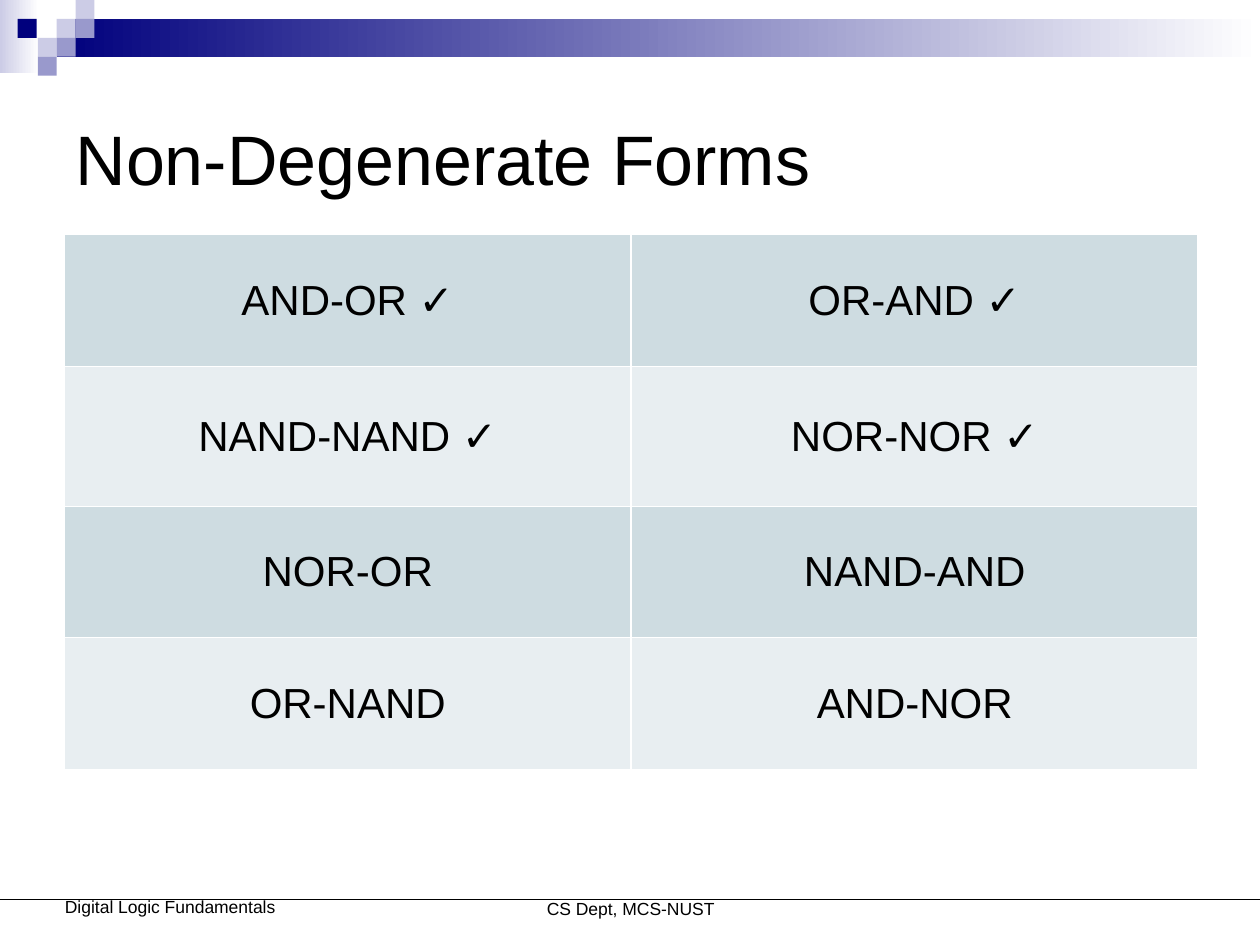
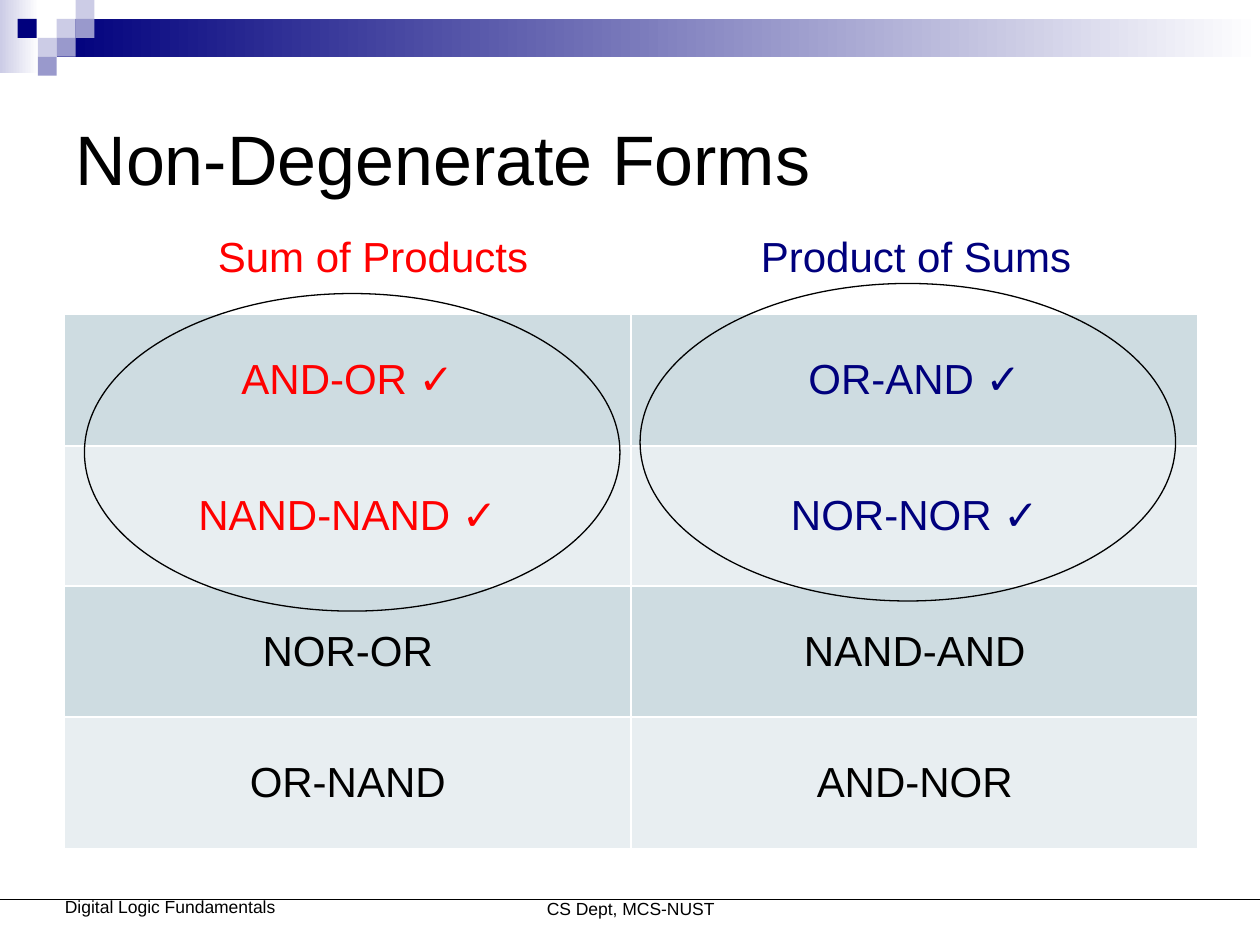
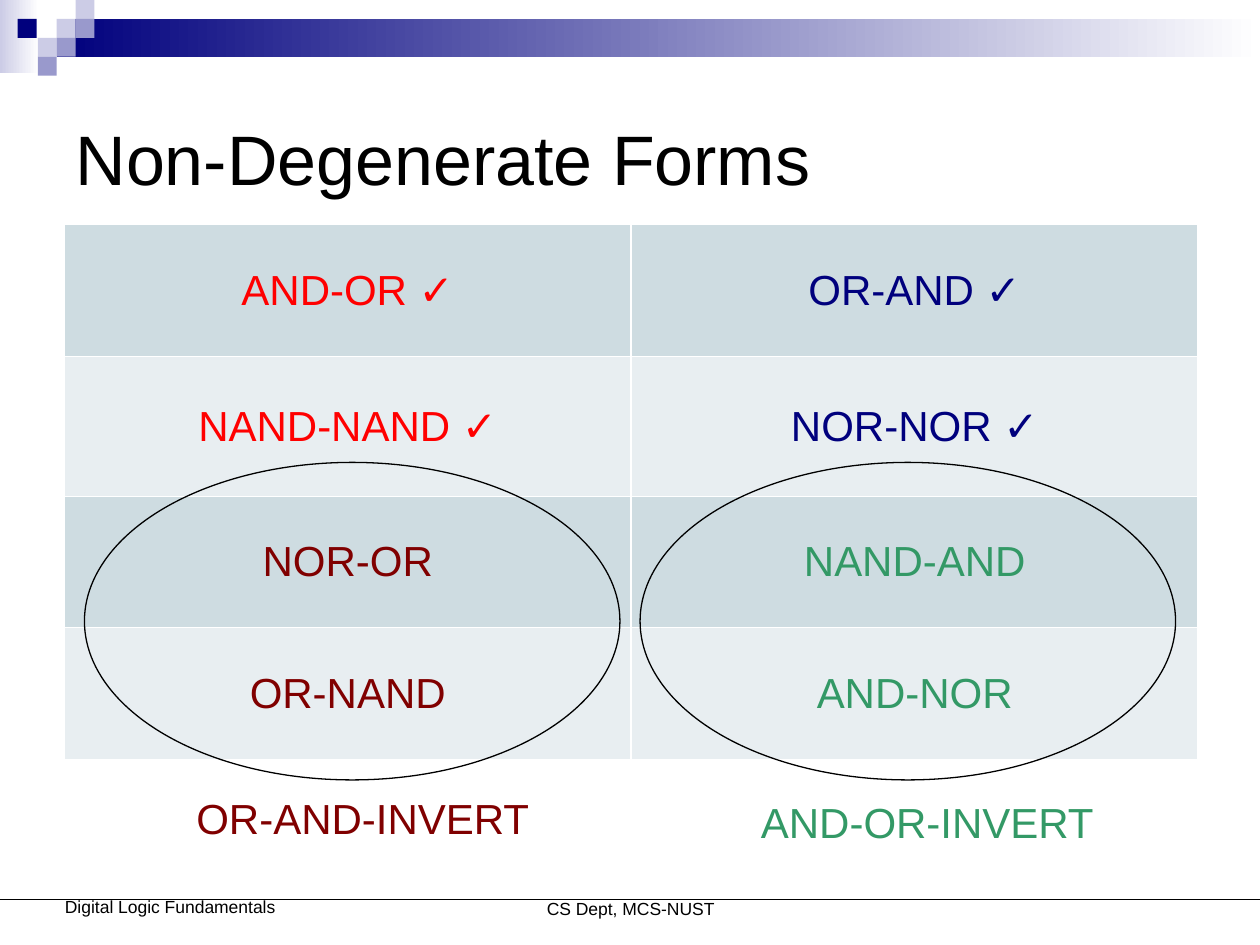
from lxml.etree import SubElement
from pptx import Presentation
from pptx.dml.color import RGBColor
from pptx.enum.shapes import MSO_CONNECTOR, MSO_SHAPE
from pptx.enum.text import MSO_ANCHOR, MSO_AUTO_SIZE, PP_ALIGN
from pptx.oxml.ns import qn
from pptx.util import Inches, Pt

# Shared look
FONT = "Arial"
BLACK, WHITE, NAVY, RED = "000000", "FFFFFF", "00007D", "FF0000"
MAROON, GREEN = "800000", "339966"
PALE, LILAC = "CCCCE6", "9999CC"
ROW_FILLS = ["CEDCE1", "E8EEF1"]

# Top band: gradient bars and small squares
BARS = [((0, 0, 0.31, 0.58), PALE), ((0.45, 0.15, 9.55, 0.3), NAVY)]
SQUARE = 0.15
SQUARES = [
    (0.45, 0.15, PALE), (0.6, 0, PALE), (0.6, 0.15, LILAC), (0.3, 0.3, PALE),
    (0.14, 0.15, NAVY), (0.45, 0.3, LILAC), (0.3, 0.45, LILAC),
]
FOOTERS = [
    ("CS Dept, MCS-NUST", (2.92, 6.85, 4.17, 0.6)),
    ("Digital Logic Fundamentals", (0.35, 6.83, 2, 0.6)),
]
FOOTER_RULE_Y = 7.14

# Content
TITLE = "Non-Degenerate Forms"
FORMS = [
    ("AND-OR ✓", "OR-AND ✓"),
    ("NAND-NAND ✓", "NOR-NOR ✓"),
    ("NOR-OR", "NAND-AND"),
    ("OR-NAND", "AND-NOR"),
]
TABLE_LEFT, COLUMN_WIDTH = 0.51, 4.5
ROW_HEIGHTS = [1.05, 1.11, 1.04, 1.05]
RING_LEFTS, RING_SIZE = (0.67, 5.08), (4.25, 2.52)

PLAIN, PRODUCTS_SUMS, INVERTS = (BLACK, BLACK), (RED, NAVY), (MAROON, GREEN)
SLIDES = [
    {"table_top": 1.86, "top_pair": PLAIN, "bottom_pair": PLAIN,
     "ring_tops": [], "labels": []},
    {"table_top": 2.49, "top_pair": PRODUCTS_SUMS, "bottom_pair": PLAIN,
     "ring_tops": [2.33, 2.25],
     "labels": [("Sum of Products", (1.63, 1.78, 2.75, 0.5), RED),
                ("Product of Sums", (5.94, 1.78, 2.75, 0.5), NAVY)]},
    {"table_top": 1.78, "top_pair": PRODUCTS_SUMS, "bottom_pair": INVERTS,
     "ring_tops": [3.67, 3.67],
     "labels": [("OR-AND-INVERT", (1.46, 6.24, 2.95, 0.5), MAROON),
                ("AND-OR-INVERT", (5.94, 6.27, 2.95, 0.5), GREEN)]},
]


def rgb(color):
    return RGBColor.from_string(color)


def inches(box):
    return [Inches(value) for value in box]


def write(frame, text, size=24, color=BLACK, align=PP_ALIGN.LEFT):
    paragraph = frame.paragraphs[0]
    paragraph.alignment = align
    run = paragraph.add_run()
    run.text = text
    run.font.name = FONT
    run.font.size = Pt(size)
    run.font.color.rgb = rgb(color)


def add_shape(slide, kind, box, fill=None, fade=False, line=None):
    shape = slide.shapes.add_shape(kind, *inches(box))
    shape.shadow.inherit = False
    if fade:
        shape.fill.gradient()
        shape.fill.gradient_angle = 0
        for stop, color in zip(shape.fill.gradient_stops, (fill, WHITE)):
            stop.color.rgb = rgb(color)
    elif fill:
        shape.fill.solid()
        shape.fill.fore_color.rgb = rgb(fill)
    else:
        shape.fill.background()
    if line:
        shape.line.color.rgb = rgb(line)
        shape.line.width = Pt(0.75)
    else:
        shape.line.fill.background()
    return shape


def draw_furniture(slide):
    """Draw the band and footer; return their shapes."""
    parts = [add_shape(slide, MSO_SHAPE.RECTANGLE, box, color, fade=True)
             for box, color in BARS]
    parts += [add_shape(slide, MSO_SHAPE.RECTANGLE, (x, y, SQUARE, SQUARE), color)
              for x, y, color in SQUARES]
    for text, box in FOOTERS:
        footer = slide.shapes.add_textbox(*inches(box))
        frame = footer.text_frame
        frame.word_wrap = True
        frame.margin_top, frame.margin_bottom = Inches(0.39), 0
        write(frame, text, size=10, align=PP_ALIGN.CENTER)
        parts.append(footer)
    rule = slide.shapes.add_connector(
        MSO_CONNECTOR.STRAIGHT, *inches((0, FOOTER_RULE_Y, 10, FOOTER_RULE_Y)))
    rule.line.color.rgb = rgb(BLACK)
    rule.line.width = Pt(0.75)
    SubElement(rule._element.spPr, qn("a:effectLst"))
    return parts + [rule]


def add_title(slide):
    title = slide.shapes.title
    title.left, title.top, title.width, title.height = inches((0.5, 0.5, 9, 1.5))
    frame = title.text_frame
    frame.auto_size = MSO_AUTO_SIZE.NONE
    frame.vertical_anchor = MSO_ANCHOR.MIDDLE
    write(frame, TITLE, size=40)


def set_borders(cell):
    properties = cell._tc.get_or_add_tcPr()
    for index, side in enumerate(("lnL", "lnR", "lnT", "lnB")):
        border = properties.makeelement(qn(f"a:{side}"), {"w": str(Pt(1))})
        SubElement(SubElement(border, qn("a:solidFill")),
                   qn("a:srgbClr"), val=WHITE)
        properties.insert(index, border)


def add_forms_table(slide, top, row_colors):
    box = (TABLE_LEFT, top, 2 * COLUMN_WIDTH, sum(ROW_HEIGHTS))
    table = slide.shapes.add_table(len(FORMS), 2, *inches(box)).table
    table.first_row = table.horz_banding = False
    for column in table.columns:
        column.width = Inches(COLUMN_WIDTH)
    for r, (forms, colors) in enumerate(zip(FORMS, row_colors)):
        table.rows[r].height = Inches(ROW_HEIGHTS[r])
        for c, (form, color) in enumerate(zip(forms, colors)):
            cell = table.cell(r, c)
            cell.fill.solid()
            cell.fill.fore_color.rgb = rgb(ROW_FILLS[r % 2])
            cell.vertical_anchor = MSO_ANCHOR.MIDDLE
            write(cell.text_frame, form, color=color, align=PP_ALIGN.CENTER)
            set_borders(cell)


def add_label(slide, text, box, color):
    frame = slide.shapes.add_textbox(*inches(box)).text_frame
    frame.word_wrap = True
    write(frame, text, color=color)


def main():
    deck = Presentation()
    deck.slide_width, deck.slide_height = Inches(10), Inches(7.5)
    layout = deck.slide_layouts[5]

    for number, content in enumerate(SLIDES):
        slide = deck.slides.add_slide(layout)
        if number == 0:
            # Move the shared parts to the layout so every slide shows them
            for part in draw_furniture(slide):
                layout.shapes.element.append(part.element)
        add_title(slide)
        row_colors = [content["top_pair"]] * 2 + [content["bottom_pair"]] * 2
        add_forms_table(slide, content["table_top"], row_colors)
        for left, top in zip(RING_LEFTS, content["ring_tops"]):
            add_shape(slide, MSO_SHAPE.OVAL, (left, top, *RING_SIZE), line=BLACK)
        for label in content["labels"]:
            add_label(slide, *label)

    deck.save("out.pptx")


if __name__ == "__main__":
    main()
